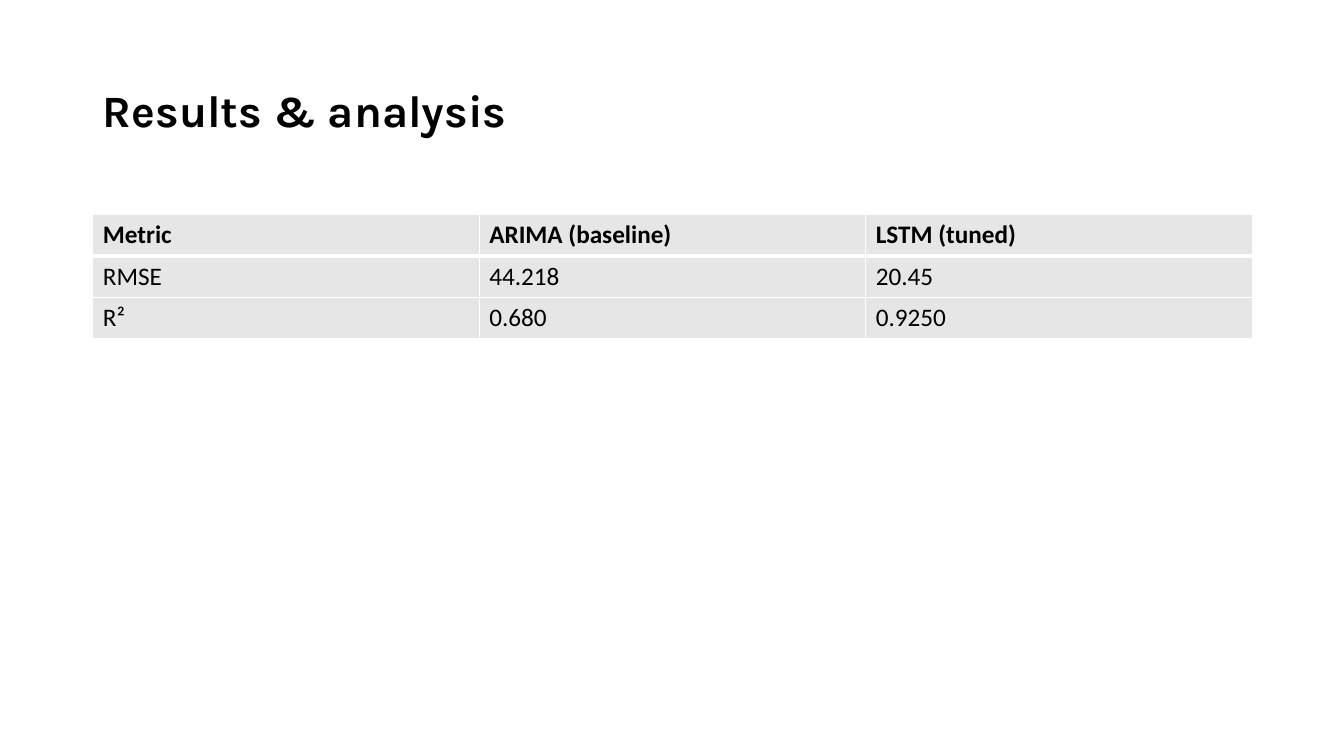
from lxml.etree import SubElement
from pptx import Presentation
from pptx.dml.color import RGBColor
from pptx.enum.text import MSO_ANCHOR, PP_ALIGN
from pptx.oxml.ns import qn
from pptx.util import Inches, Pt

LEFT, WIDTH = 0.92, 11.5
ROWS = [
    ["Metric", "ARIMA (baseline)", "LSTM (tuned)"],
    ["RMSE", "44.218", "20.45"],
    ["R²", "0.680", "0.9250"],
]


def color(code):
    return RGBColor.from_string(code)


def write(frame, text, font="Calibri", size=18, bold=False, ink="000000",
          line=1.0):
    par = frame.paragraphs[0]
    par.alignment = PP_ALIGN.LEFT
    par.line_spacing = line
    run = par.add_run()
    run.text = text
    run.font.name = font
    run.font.size = Pt(size)
    run.font.bold = bold
    run.font.color.rgb = color(ink)


def add_title(slide, text):
    title = slide.shapes.title
    title.left, title.top = Inches(LEFT), Inches(0.4)
    title.width, title.height = Inches(WIDTH), Inches(1.45)
    title.text_frame.word_wrap = True
    title.text_frame.vertical_anchor = MSO_ANCHOR.MIDDLE
    write(title.text_frame, text, font="Karla", size=32, bold=True, line=0.9)


def add_edge(cell, side, width, code):
    edge = SubElement(cell._tc.get_or_add_tcPr(), qn("a:ln" + side),
                      w=str(Pt(width)))
    fill = SubElement(edge, qn("a:solidFill"))
    SubElement(fill, qn("a:srgbClr"), val=code)


def add_grid(slide, rows):
    high = 0.41
    table = slide.shapes.add_table(
        len(rows), len(rows[0]), Inches(LEFT), Inches(2.13),
        Inches(WIDTH), Inches(high * len(rows))).table
    for r, row in enumerate(rows):
        for c, text in enumerate(row):
            cell = table.cell(r, c)
            # The rule under the header is heavier
            for side in "LRTB":
                heavy = (r, side) in [(0, "B"), (1, "T")]
                add_edge(cell, side, 3 if heavy else 1, "FFFFFF")
            cell.fill.solid()
            cell.fill.fore_color.rgb = color("E7E6E6")
            write(cell.text_frame, text, bold=r == 0)


def main():
    deck = Presentation()
    deck.slide_width, deck.slide_height = Inches(13.33), Inches(7.5)
    slide = deck.slides.add_slide(deck.slide_layouts[5])

    # Heading
    add_title(slide, "Results & analysis")

    # Model scores
    add_grid(slide, ROWS)

    deck.save("out.pptx")


if __name__ == "__main__":
    main()
